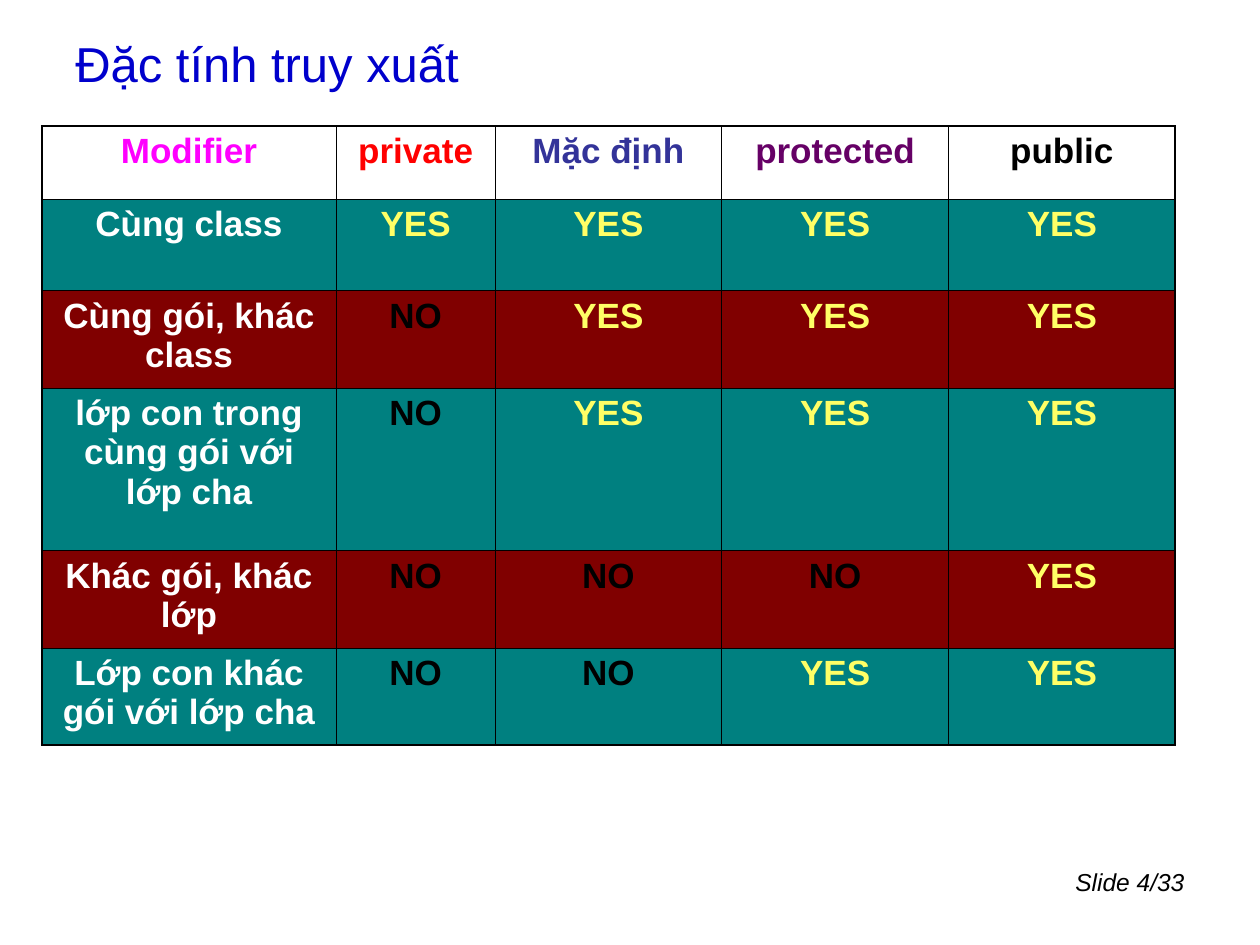
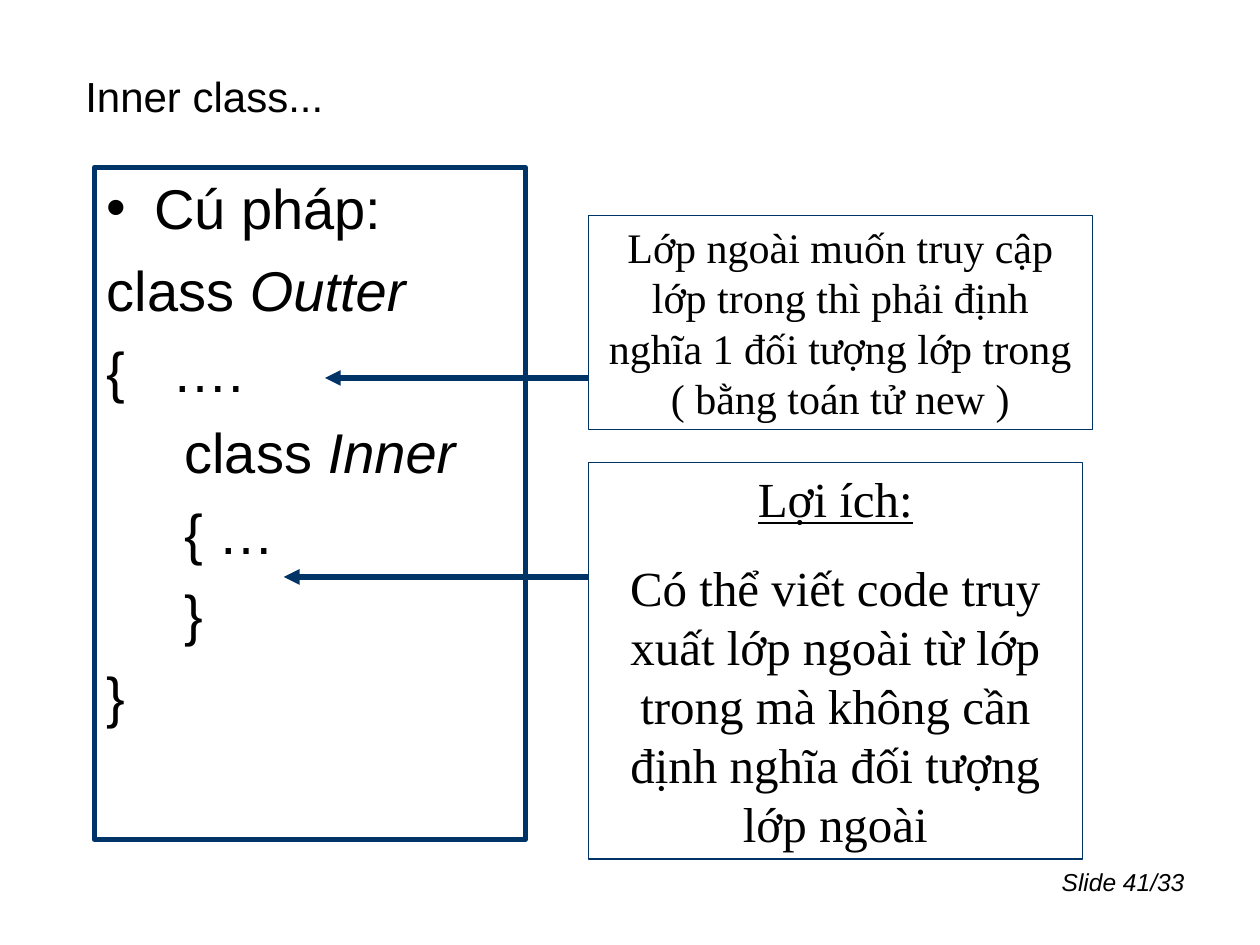
from dataclasses import dataclass

from lxml import etree
from pptx import Presentation
from pptx.dml.color import RGBColor
from pptx.enum.shapes import MSO_CONNECTOR
from pptx.enum.text import MSO_ANCHOR, MSO_AUTO_SIZE, PP_ALIGN
from pptx.oxml.ns import qn
from pptx.util import Cm, Pt

LEFT, CENTER, RIGHT = PP_ALIGN.LEFT, PP_ALIGN.CENTER, PP_ALIGN.RIGHT
TOP, MIDDLE = MSO_ANCHOR.TOP, MSO_ANCHOR.MIDDLE
FIT_SHAPE = MSO_AUTO_SIZE.SHAPE_TO_FIT_TEXT
STRAIGHT = MSO_CONNECTOR.STRAIGHT
BLANK_LAYOUT = 6


@dataclass(frozen=True)
class Theme:
    sans: str = "Arial"
    serif: str = "Times New Roman"
    black: str = "000000"
    white: str = "FFFFFF"
    blue: str = "0000CC"
    navy: str = "003366"
    teal: str = "008080"
    maroon: str = "800000"
    yellow: str = "FFFF66"
    header_colours: tuple = ("FF00FF", "FF0000", "333399", "660066", "000000")
    title_size: float = 28
    subtitle_size: float = 24
    code_size: float = 32
    cell_size: float = 20
    footer_size: float = 14
    thick_line: float = 3
    thin_line: float = 0.75
    outer_border: float = 1.08
    inner_border: float = 0.45


@dataclass(frozen=True)
class Box:
    """A rectangle measured in centimetres."""
    left: float
    top: float
    width: float
    height: float

    def lengths(self):
        return Cm(self.left), Cm(self.top), Cm(self.width), Cm(self.height)


THEME = Theme()
FOOTER_BOX = Box(20.12, 17.35, 4.01, 1.32)

MODIFIERS = ("Modifier", "private", "Mặc định", "protected", "public")
ACCESS_ROWS = (
    ("Cùng class", "YES", "YES", "YES", "YES"),
    ("Cùng gói, khác class", "NO", "YES", "YES", "YES"),
    ("lớp con trong cùng gói với lớp cha", "NO", "YES", "YES", "YES"),
    ("Khác gói, khác lớp", "NO", "NO", "NO", "YES"),
    ("Lớp con khác gói với lớp cha", "NO", "NO", "YES", "YES"),
)
COLUMN_WIDTHS = (5.94, 3.2, 4.57, 4.57, 4.57)
ROW_HEIGHTS = (1.47, 1.85, 1.96, 3.28, 1.96, 1.96)

# Each line: left indent in cm, plain text, italic class name
SYNTAX_LINES = (
    (0.96, "Cú pháp:", ""),
    (0, "class ", "Outter"),
    (0, "{\t….", ""),
    (1.57, "class ", "Inner"),
    (1.57, "{ …", ""),
    (1.57, "}", ""),
    (0, "}", ""),
)


def set_font(font, size, colour, name=THEME.sans, bold=False, italic=False):
    font.name, font.size = name, Pt(size)
    font.bold, font.italic = bold, italic
    font.color.rgb = RGBColor.from_string(colour)


def add_frame(page, box, anchor=TOP, line_width=None):
    """Add a wrapping text box, outlined in navy on white if a width is given."""
    frame = page.shapes.add_textbox(*box.lengths())
    frame.text_frame.word_wrap = True
    frame.text_frame.vertical_anchor = anchor
    if line_width:
        frame.fill.solid()
        frame.fill.fore_color.rgb = RGBColor.from_string(THEME.white)
        frame.line.color.rgb = RGBColor.from_string(THEME.navy)
        frame.line.width = Pt(line_width)
    return frame.text_frame


def add_label(page, box, text, size, colour=THEME.black, align=LEFT,
              anchor=MIDDLE, italic=False):
    para = add_frame(page, box, anchor).paragraphs[0]
    para.text = text
    para.alignment = align
    set_font(para.font, size, colour, italic=italic)


def add_page(deck, number):
    page = deck.slides.add_slide(deck.slide_layouts[BLANK_LAYOUT])
    add_label(page, FOOTER_BOX, f"Slide {number}/33", THEME.footer_size,
              align=RIGHT, anchor=TOP, italic=True)
    return page


def set_border(cell, side, width):
    line = etree.SubElement(cell._tc.get_or_add_tcPr(), qn(f"a:ln{side}"),
                            w=str(Pt(width)))
    fill = etree.SubElement(line, qn("a:solidFill"))
    etree.SubElement(fill, qn("a:srgbClr"), val=THEME.black)


def cell_colours(row, column, text):
    """Return the text colour and the fill colour of a table cell."""
    if row == 0:
        return THEME.header_colours[column], None
    fill = THEME.teal if row % 2 else THEME.maroon
    if column == 0:
        return THEME.white, fill
    return (THEME.yellow if text == "YES" else THEME.black), fill


def add_access_table(page, box):
    rows = (MODIFIERS, *ACCESS_ROWS)
    last_row, last_column = len(rows) - 1, len(MODIFIERS) - 1
    table = page.shapes.add_table(len(rows), len(MODIFIERS), *box.lengths()).table
    table.first_row = table.horz_banding = False
    for column, width in zip(table.columns, COLUMN_WIDTHS):
        column.width = Cm(width)
    for row, height in zip(table.rows, ROW_HEIGHTS):
        row.height = Cm(height)

    for r, texts in enumerate(rows):
        for c, text in enumerate(texts):
            cell = table.cell(r, c)
            outer_sides = {"L": c == 0, "R": c == last_column,
                           "T": r == 0, "B": r == last_row}
            for side, is_outer in outer_sides.items():
                set_border(cell, side, THEME.outer_border if is_outer
                           else THEME.inner_border)
            colour, fill = cell_colours(r, c, text)
            if fill:
                cell.fill.solid()
                cell.fill.fore_color.rgb = RGBColor.from_string(fill)
            else:
                cell.fill.background()
            para = cell.text_frame.paragraphs[0]
            para.text = text
            para.alignment = CENTER
            para.space_before = Pt(5)
            set_font(para.font, THEME.cell_size, colour, bold=True)


def add_bullet(para, indent):
    properties = para._p.get_or_add_pPr()
    properties.set("indent", str(-Cm(indent)))
    etree.SubElement(properties, qn("a:buFont"), typeface=THEME.sans)
    etree.SubElement(properties, qn("a:buChar"), char="•")


def add_tab_stop(para, position):
    stops = etree.SubElement(para._p.get_or_add_pPr(), qn("a:tabLst"))
    etree.SubElement(stops, qn("a:tab"), pos=str(Cm(position)), algn="l")


def add_syntax_panel(page, box):
    text_frame = add_frame(page, box, line_width=THEME.thick_line)
    for index, (indent, text, class_name) in enumerate(SYNTAX_LINES):
        para = text_frame.paragraphs[0] if index == 0 else text_frame.add_paragraph()
        para.space_before = Pt(8)
        para._p.get_or_add_pPr().set("marL", str(Cm(indent)))
        if index == 0:
            add_bullet(para, indent)
        if "\t" in text:
            add_tab_stop(para, 1.33)
        set_font(para.font, THEME.code_size, THEME.black)
        para.add_run().text = text
        if class_name:
            span = para.add_run()
            span.text = class_name
            span.font.italic = True


def add_note(page, box, texts, size, space_before, arrow_drop, arrow_reach):
    """Add a note with an arrow leaving its left side, arrow_drop below its top."""
    text_frame = add_frame(page, box, line_width=THEME.thin_line)
    text_frame.auto_size = FIT_SHAPE
    for index, text in enumerate(texts):
        para = text_frame.paragraphs[0] if index == 0 else text_frame.add_paragraph()
        para.text = text
        para.alignment = CENTER
        para.space_before = Pt(space_before)
        set_font(para.font, size, THEME.black, THEME.serif)
        para.font.underline = index < len(texts) - 1

    height = Cm(box.top + arrow_drop)
    arrow = page.shapes.add_connector(STRAIGHT, Cm(box.left), height,
                                      Cm(box.left - arrow_reach), height)
    arrow.line.color.rgb = RGBColor.from_string(THEME.navy)
    arrow.line.width = Pt(THEME.thick_line)
    etree.SubElement(arrow.line._get_or_add_ln(), qn("a:tailEnd"), type="triangle")
    etree.SubElement(arrow._element.spPr, qn("a:effectLst"))


def build_access_page(deck):
    page = add_page(deck, 4)
    add_label(page, Box(1.27, 0.64, 21.59, 1.27), "Đặc tính truy xuất",
              THEME.title_size, THEME.blue)
    add_access_table(page, Box(0.84, 2.54, sum(COLUMN_WIDTHS), sum(ROW_HEIGHTS)))


def build_inner_class_page(deck):
    page = add_page(deck, 41)
    add_label(page, Box(1.47, 1.07, 21.59, 1.7), "Inner class...",
              THEME.subtitle_size)
    add_syntax_panel(page, Box(1.9, 3.38, 8.69, 13.54))
    add_note(page, Box(11.86, 9.32, 9.96, 8),
             ("Lợi ích:", "Có thể viết code truy xuất lớp ngoài từ lớp trong "
              "mà không cần định nghĩa đối tượng lớp ngoài"),
             size=28, space_before=17.5, arrow_drop=2.31, arrow_reach=6.14)
    add_note(page, Box(11.86, 4.34, 10.16, 4.32),
             ("Lớp ngoài muốn truy cập lớp trong thì phải định nghĩa "
              "1 đối tượng lớp trong ( bằng toán tử new )",),
             size=24, space_before=15, arrow_drop=3.28, arrow_reach=5.31)


def main():
    deck = Presentation()
    deck.slide_width, deck.slide_height = Cm(25.4), Cm(19.05)
    build_access_page(deck)
    build_inner_class_page(deck)
    deck.save("out.pptx")


if __name__ == "__main__":
    main()
